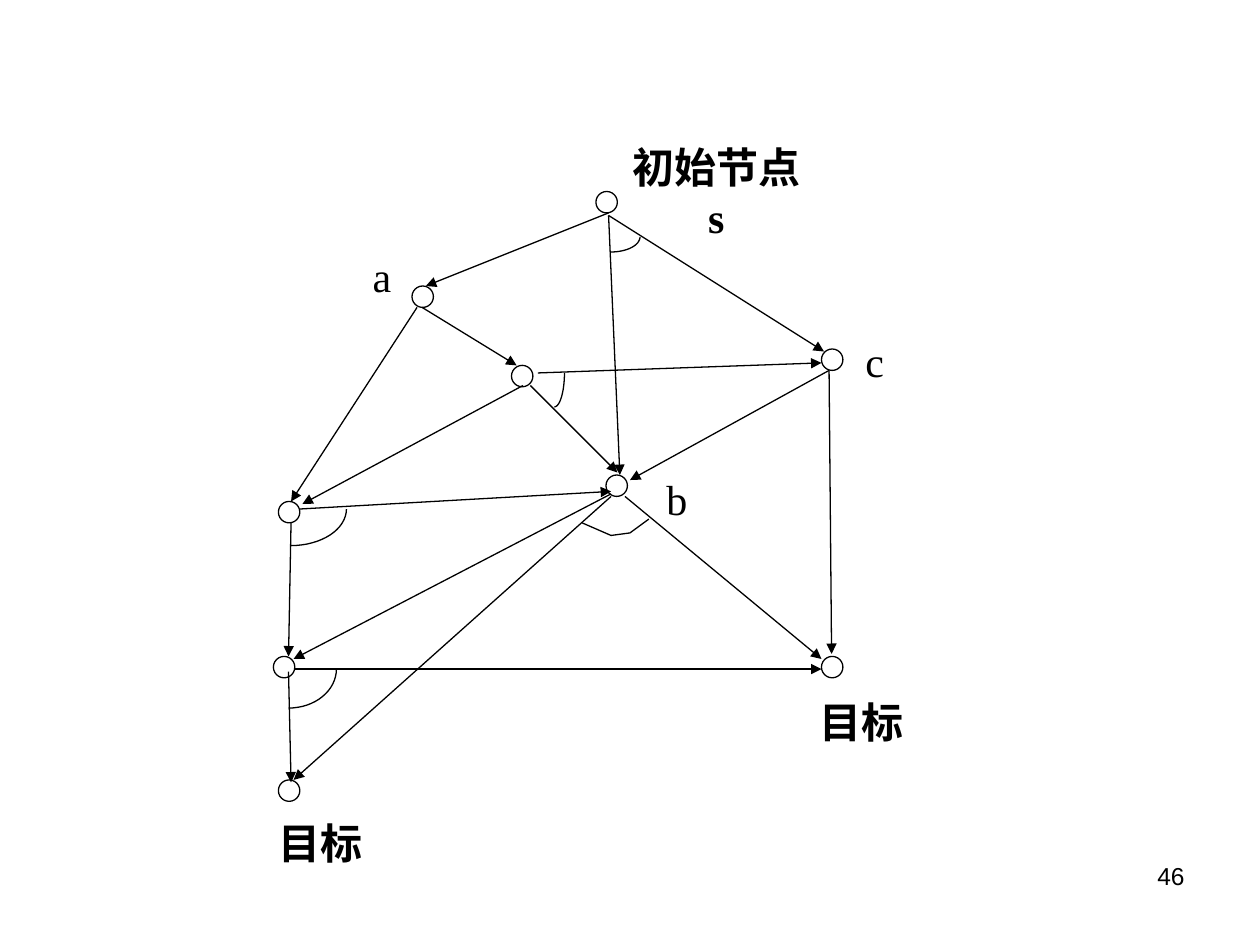
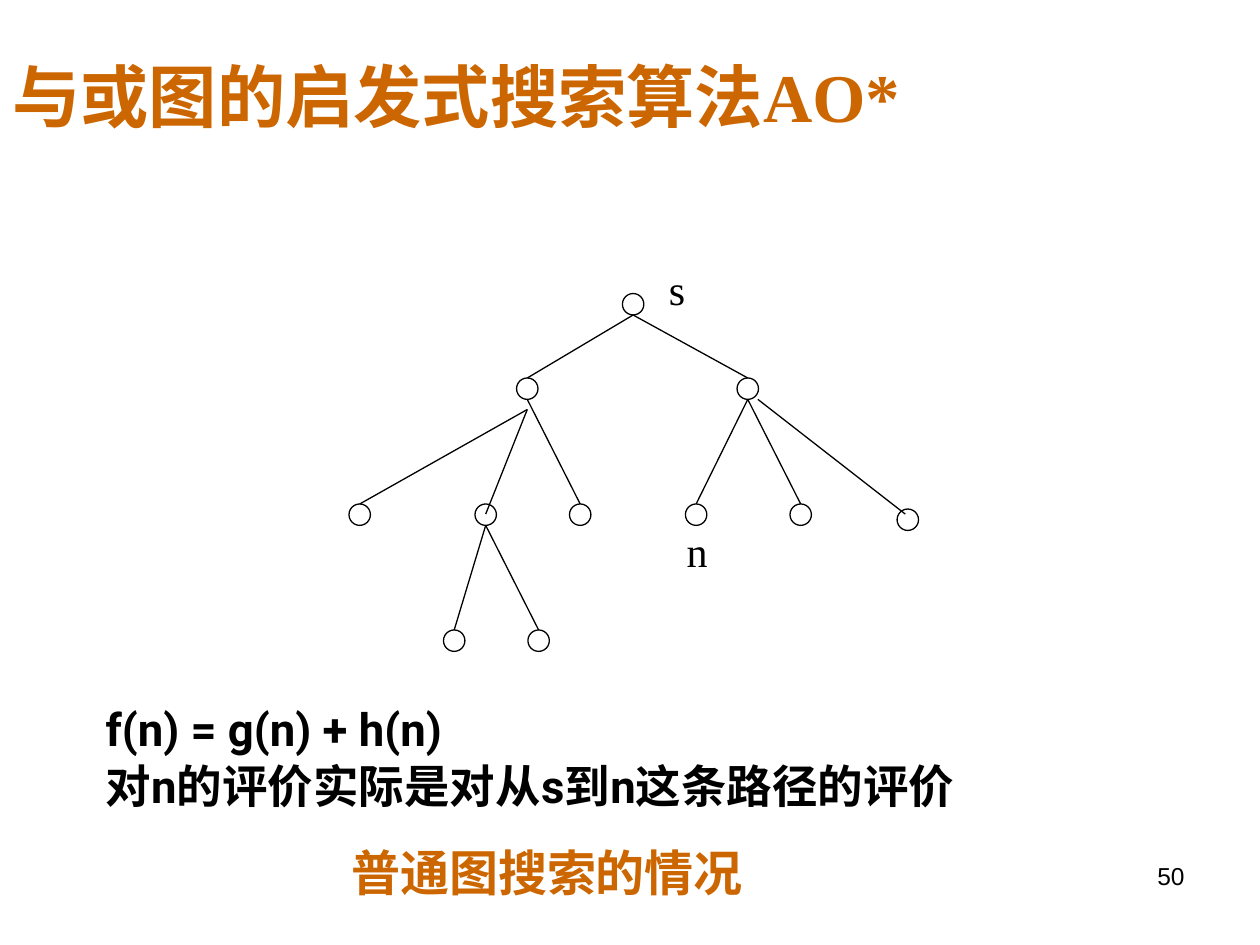
from math import cos, sin, pi
from lxml.etree import SubElement
from pptx import Presentation
from pptx.dml.color import RGBColor
from pptx.enum.shapes import MSO_CONNECTOR, MSO_SHAPE
from pptx.enum.text import MSO_ANCHOR as ANCHOR, PP_ALIGN as ALIGN
from pptx.oxml.ns import qn
from pptx.util import Cm, Pt

BLACK = RGBColor(0x00, 0x00, 0x00)
WHITE = RGBColor(0xFF, 0xFF, 0xFF)
ORANGE = RGBColor(0xCC, 0x66, 0x00)
SERIF, SANS, BODY, CAPTION = "Times New Roman", "Arial", "Roboto", "Karla"
NODE = 0.17
ARC_STEPS = 16

GRAPH_NODES = [
    (4.73, 1.52), (3.27, 2.27), (4.06, 2.9), (4.81, 3.77), (6.52, 2.77),
    (2.21, 3.98), (2.17, 5.21), (6.52, 5.21), (2.21, 6.19),
]
GRAPH_ARROWS = [
    ((4.83, 1.69), [(3.38, 2.27)]),
    ((4.83, 1.71), [(4.92, 3.77), (6.54, 2.79)]),
    ((3.31, 2.44), [(2.31, 3.98)]),
    ((3.35, 2.44), [(4.1, 2.9)]),
    ((4.21, 3.06), [(4.9, 3.75)]),
    ((4.27, 2.96), [(6.52, 2.88)]),
    ((4.15, 3.06), [(2.4, 4)]),
    ((2.38, 4.04), [(4.85, 3.9)]),
    ((2.31, 4.15), [(2.29, 5.21)]),
    ((6.58, 2.94), [(5, 3.81), (6.6, 5.19)]),
    ((4.85, 3.92), [(2.33, 5.23)]),
    ((4.85, 3.94), [(2.33, 6.19)]),
    ((4.96, 3.94), [(6.52, 5.23)]),
    ((2.33, 5.31), [(6.52, 5.31)]),
    ((2.29, 5.33), [(2.31, 6.21)]),
]
AND_ARCS = [
    (4.85, 1.88, 0.23, 0.12), (4.4, 2.96, 0.08, 0.27),
    (2.31, 4.04, 0.44, 0.29), (2.29, 5.31, 0.38, 0.31),
]
AND_BRACKET = [(4.62, 4.15), (4.85, 4.25), (5, 4.23), (5.15, 4.12)]
STATE_LABELS = [
    ("目标", 2.11, 6.44, 0.87), ("目标", 6.4, 5.48, 0.87),
    ("初始节点s", 4.89, 1.27, 1.59),
]
NODE_LABELS = [("a", 2.86, 1.94), ("b", 5.19, 3.71), ("c", 6.77, 2.61)]

TREE_NODES = {
    "s": (4.94, 2.33), "left": (4.1, 3), "right": (5.85, 3),
    "l1": (2.77, 4), "l2": (3.77, 4), "l3": (4.52, 4),
    "n": (5.44, 4), "r2": (6.27, 4), "r3": (7.12, 4.04),
    "l21": (3.52, 5), "l22": (4.19, 5),
}
FILLED_NODES = {"s", "left", "right", "l2"}
TREE_EDGES = [
    ("s", "left"), ("s", "right"), ("left", "l1"), ("left", "l2"),
    ("left", "l3"), ("right", "n"), ("right", "r2"), ("right", "r3"),
    ("l2", "l21"), ("l2", "l22"),
]
START_SHIFT = {"l1": (0, 0.08), "l2": (0, 0.08), "r3": (0.08, 0)}
END_SHIFT = {"l2": (0, 0.08), "r3": (-0.02, 0.04)}
TREE_LABELS = [("n", 5.35, 4.12), ("s", 5.21, 2.04)]
TITLE = "与或图的启发式搜索算法AO*"
FORMULA = ["f(n) = g(n) + h(n)", "对n的评价实际是对从s到n这条路径的评价"]
SUMMARY = "普通图搜索的情况"


def inch(value):
    return Cm(value * 2.54)


def add_text(s, lines, box, size, font=SERIF, color=BLACK, bold=False,
             align=ALIGN.LEFT, anchor=ANCHOR.TOP, wrap=True, spacing=None, before=0, indent=0):
    tf = s.shapes.add_textbox(*map(inch, box)).text_frame
    tf.word_wrap = wrap
    tf.vertical_anchor = anchor
    for i, line in enumerate(lines):
        p = tf.add_paragraph() if i else tf.paragraphs[0]
        p.alignment = align
        p.line_spacing = spacing
        if i:
            p.space_before = Pt(before)
        if indent:
            p._p.get_or_add_pPr().set("marL", str(inch(indent)))
        r = p.add_run()
        r.text = line
        r.font.size, r.font.name, r.font.bold = Pt(size), font, bold
        r.font.color.rgb = color


def set_outline(sp):
    sp.line.color.rgb = BLACK
    sp.line.width = Pt(0.75)


def add_node(s, x, y, filled=False):
    sp = s.shapes.add_shape(MSO_SHAPE.OVAL, *map(inch, (x, y, NODE, NODE)))
    sp.shadow.inherit = False
    if filled:
        sp.fill.solid()
        sp.fill.fore_color.rgb = WHITE
    else:
        sp.fill.background()
    set_outline(sp)


def add_line(s, start, end, arrow=False):
    line = s.shapes.add_connector(MSO_CONNECTOR.STRAIGHT, *map(inch, start + end))
    set_outline(line)
    if arrow:
        SubElement(line.line._get_or_add_ln(), qn("a:tailEnd"), type="triangle")
    SubElement(line._element.spPr, qn("a:effectLst"))


def add_curve(s, points):
    points = [(inch(x), inch(y)) for x, y in points]
    builder = s.shapes.build_freeform(*points[0])
    builder.add_line_segments(points[1:], close=False)
    sp = builder.convert_to_shape()
    sp.shadow.inherit = False
    sp.fill.background()
    set_outline(sp)


def quarter_arc(x, y, w, h):
    angles = [pi / 2 * (1 - i / ARC_STEPS) for i in range(ARC_STEPS + 1)]
    return [(x + w * cos(a), y + h * sin(a)) for a in angles]


def new_slide(prs, number):
    s = prs.slides.add_slide(prs.slide_layouts[6])
    add_text(s, [number], (7.17, 6.83, 2.33, 0.5), 14, SANS, align=ALIGN.RIGHT, spacing=0.8)
    return s


def build_graph(prs):
    s = new_slide(prs, "46")
    for x, y in GRAPH_NODES:
        add_node(s, x, y)
    for start, ends in GRAPH_ARROWS:
        for end in ends:
            add_line(s, start, end, arrow=True)
    for arc in AND_ARCS:
        add_curve(s, quarter_arc(*arc))
    add_curve(s, AND_BRACKET)
    for text, x, y, w in STATE_LABELS:
        add_text(s, [text], (x, y, w, 0.5), 24, bold=True, align=ALIGN.CENTER, anchor=ANCHOR.MIDDLE)
    for text, x, y in NODE_LABELS:
        add_text(s, [text], (x, y, 0.36, 0.5), 24, wrap=False)


def build_tree(prs):
    s = new_slide(prs, "50")
    add_text(s, FORMULA, (0.36, 5.56, 9.64, 1.31), 26, BODY, bold=True,
             spacing=0.9, before=5, indent=0.38)
    for name, (x, y) in TREE_NODES.items():
        add_node(s, x, y, name in FILLED_NODES)
    for parent, child in TREE_EDGES:
        (px, py), (cx, cy) = TREE_NODES[parent], TREE_NODES[child]
        sx, sy = START_SHIFT.get(child, (0, 0))
        ex, ey = END_SHIFT.get(child, (0, 0))
        add_line(s, (px + NODE / 2 + sx, py + NODE + sy), (cx + NODE / 2 + ex, cy + ey))
    for text, x, y in TREE_LABELS:
        add_text(s, [text], (x, y, 0.38, 0.5), 24)
    add_text(s, [TITLE], (0, 0, 10, 1.51), 39, color=ORANGE, bold=True, anchor=ANCHOR.MIDDLE)
    add_text(s, [SUMMARY], (2.69, 6.64, 3.31, 0.57), 28, CAPTION, ORANGE, bold=True, wrap=False)


def main():
    prs = Presentation()
    prs.slide_width, prs.slide_height = Cm(25.4), Cm(19.05)
    build_graph(prs)
    build_tree(prs)
    prs.save("out.pptx")


if __name__ == "__main__":
    main()
